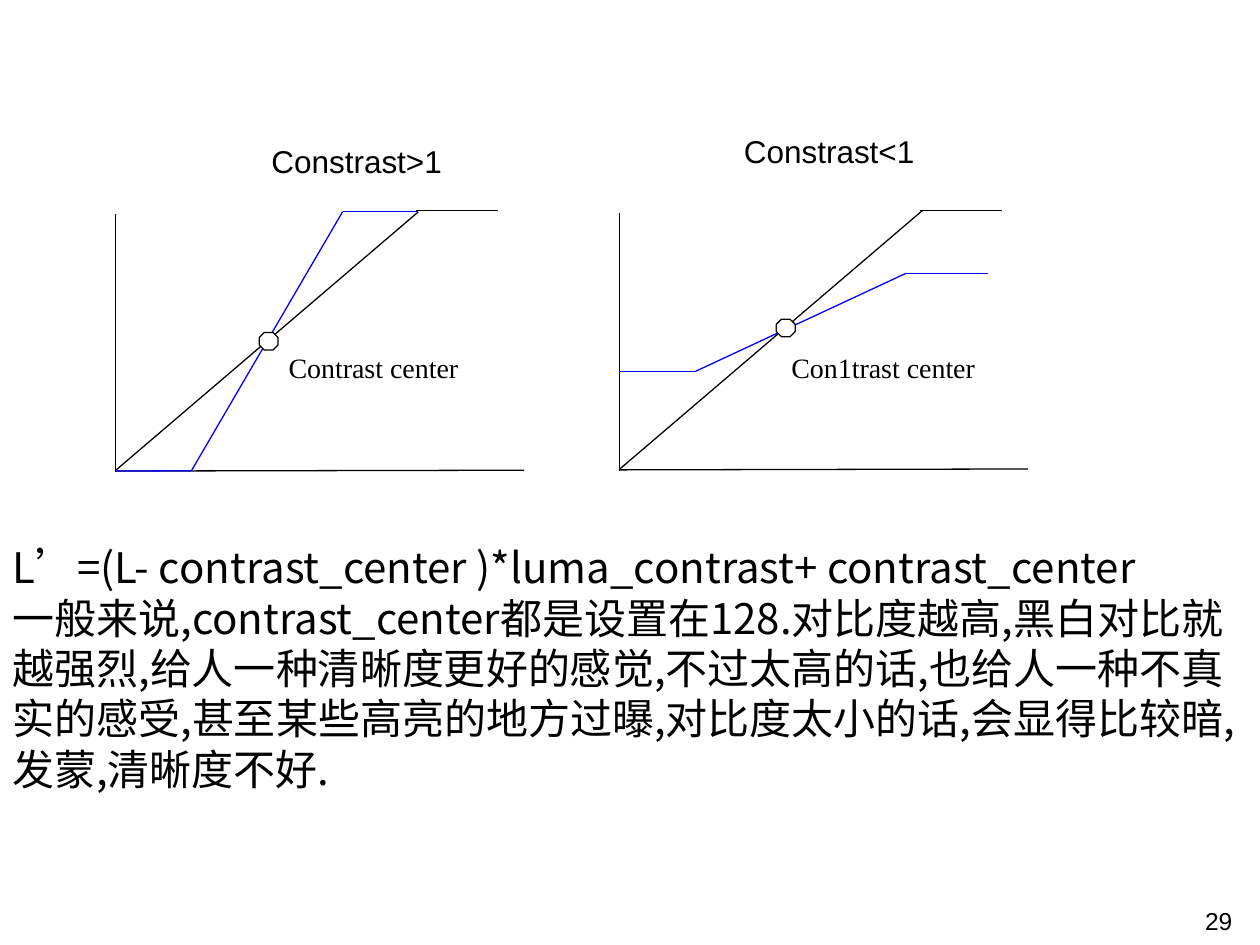
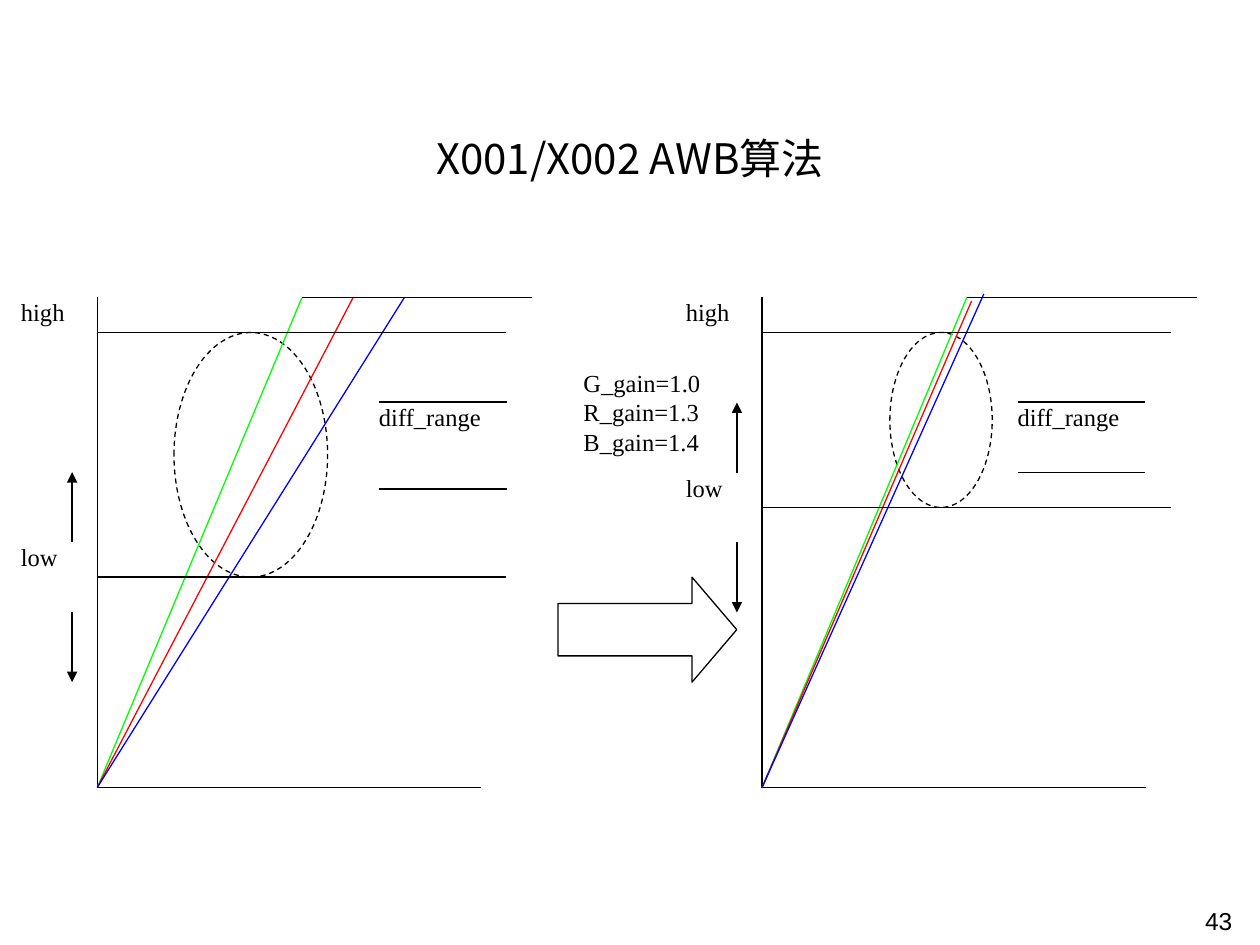
from itertools import pairwise

from lxml.etree import SubElement
from pptx import Presentation
from pptx.dml.color import RGBColor
from pptx.enum.dml import MSO_LINE
from pptx.enum.shapes import MSO_CONNECTOR, MSO_SHAPE
from pptx.enum.text import MSO_ANCHOR, PP_ALIGN
from pptx.oxml.ns import qn
from pptx.util import Pt

COLORS = {
    "ink": "000000",
    "paper": "FFFFFF",
    "red": "FF0000",
    "green": "00FF00",
    "blue": "0000FF",
}
SANS = "Arial"
SERIF = "Times New Roman"
CJK = "Noto Sans CJK SC"
LINE_WIDTH = 0.75
BOX_MARGINS = (7.2, 3.6)


def color(name):
    """Return the named colour as an RGBColor."""
    return RGBColor.from_string(COLORS[name])


def set_attributes(target, values):
    """Set each attribute of target from a dict."""
    for name, value in values.items():
        setattr(target, name, value)


def write_text(shape, lines, font, size, align, margins, space_before=0):
    """Fill a shape with one paragraph per line."""
    frame = shape.text_frame
    horizontal, vertical = (Pt(margin) for margin in margins)
    set_attributes(frame, {
        "word_wrap": True,
        "vertical_anchor": MSO_ANCHOR.TOP,
        "margin_left": horizontal,
        "margin_right": horizontal,
        "margin_top": vertical,
        "margin_bottom": vertical,
    })
    for index, line in enumerate(lines):
        paragraph = frame.add_paragraph() if index else frame.paragraphs[0]
        set_attributes(paragraph, {"alignment": align, "space_before": Pt(space_before)})
        run = paragraph.add_run()
        run.text = line
        set_attributes(run.font, {"name": font, "size": Pt(size)})
        run.font.color.rgb = color("ink")
        if font == CJK:
            SubElement(run.font._element, qn("a:ea"), typeface=font)


def add_text(slide, box, lines, font, size, align=PP_ALIGN.LEFT,
             margins=BOX_MARGINS, space_before=0):
    """Add a transparent text box."""
    shape = slide.shapes.add_textbox(*map(Pt, box))
    write_text(shape, lines, font, size, align, margins, space_before)


def add_figure(slide, kind, box, outlined=True, dashed=False, adjustments=()):
    """Add a white preset shape, with a thin black outline if wanted."""
    shape = slide.shapes.add_shape(kind, *map(Pt, box))
    shape.shadow.inherit = False
    shape.fill.solid()
    shape.fill.fore_color.rgb = color("paper")
    for index, value in enumerate(adjustments):
        shape.adjustments[index] = value
    if outlined:
        shape.line.color.rgb = color("ink")
        shape.line.width = Pt(LINE_WIDTH)
    else:
        shape.line.fill.background()
    if dashed:
        shape.line.dash_style = MSO_LINE.DASH
    return shape


def add_label(slide, box, *lines):
    """Add a white label without outline or margins."""
    shape = add_figure(slide, MSO_SHAPE.RECTANGLE, box, outlined=False)
    write_text(shape, lines, SERIF, 14, PP_ALIGN.JUSTIFY, (0, 0))


def add_line(slide, start, end, color_name="ink", arrow=False):
    """Add a thin straight line, with an arrowhead at its end if wanted."""
    connector = slide.shapes.add_connector(
        MSO_CONNECTOR.STRAIGHT, *map(Pt, (*start, *end)))
    connector.line.color.rgb = color(color_name)
    connector.line.width = Pt(LINE_WIDTH)
    if arrow:
        SubElement(connector.line._get_or_add_ln(), qn("a:tailEnd"), type="triangle")
    SubElement(connector._element.spPr, qn("a:effectLst"))


def add_page_number(slide, number):
    """Add the page number at the bottom right."""
    add_text(slide, (544.3, 514.1, 167, 25.9), [str(number)], SANS, 14, PP_ALIGN.RIGHT)


def add_contrast_graph(slide, left, base, curve, center, caption, title, title_corner):
    """Draw the identity line, the contrast curve and the contrast centre."""
    clip = 120.24
    add_line(slide, (left, base + 0.5), (left + 233.3, base))
    add_line(slide, (left, base), (left + 172.8, base - 147.6))
    add_line(slide, (left, base + 1), (left, base - 146.5))
    add_line(slide, (left + 171.4, clip), (left + 218.4, clip))
    for start, end in pairwise(curve):
        add_line(slide, start, end, "blue")
    center_x, center_y = center
    add_figure(slide, MSO_SHAPE.OCTAGON, (center_x - 5.4, center_y - 5, 10.8, 10),
               adjustments=[0.293])
    add_text(slide, (*caption[1], 134, 46), [caption[0]], SERIF, 16,
             PP_ALIGN.JUSTIFY, (2.9, 2.9))
    add_text(slide, (*title_corner, 180, 28.8), [title], SANS, 18,
             PP_ALIGN.CENTER, space_before=11.2)


def add_gain_graph(slide, axis, low, rays, clip_start, ellipse, range_offset, range_height):
    """Draw the channel rays with the high, low and diff_range limits."""
    base, top, high = 450, 170, 190
    ellipse_left, ellipse_width = ellipse
    add_figure(slide, MSO_SHAPE.OVAL, (axis + ellipse_left, high, ellipse_width, low - high),
               dashed=True)
    add_line(slide, (axis, base), (axis + 219.2, base))
    add_line(slide, (axis, base), (axis, top))
    for color_name, end_offset, end_y in rays:
        add_line(slide, (axis, base), (axis + end_offset, end_y), color_name)
    for limit in (high, low):
        add_line(slide, (axis, limit), (axis + 233.8, limit))
    add_line(slide, (axis + clip_start, top), (axis + 248.6, top))

    low_top = low - 20
    for text, label_top in (("high", top), ("low", low_top)):
        add_label(slide, (axis - 43.6, label_top, 29.2, 40), text)
    arrow_x = axis - 14.4
    add_line(slide, (arrow_x, low_top), (arrow_x, low_top - 40), arrow=True)
    add_line(slide, (arrow_x, low_top + 40), (arrow_x, low_top + 80), arrow=True)

    range_left, range_top = axis + range_offset, 229.7
    add_label(slide, (range_left, range_top, 58.4, 40), "diff_range")
    for y in (range_top, range_top + range_height):
        add_line(slide, (range_left, y), (range_left + 73, y))


def build_contrast_slide(slide):
    """Compare contrast above and below one."""
    add_page_number(slide, 29)
    add_contrast_graph(
        slide, 66.2, 268.7,
        [(66.2, 269.2), (109.4, 269), (195.8, 121), (239, 121)],
        (153.5, 195), ("Contrast center", (162, 197.3)), "Constrast>1", (113.8, 77.8))
    add_contrast_graph(
        slide, 354.2, 268,
        [(353.5, 212.2), (397.5, 212.2), (517.7, 156.2), (564.5, 156.2)],
        (449, 187.4), ("Con1trast center", (449.3, 197.3)), "Constrast<1", (383.8, 72))
    add_text(slide, (0, 306, 720, 180), [
        "L’=(L- contrast_center )*luma_contrast+ contrast_center",
        "一般来说,contrast_center都是设置在128.对比度越高,黑白对比就越强烈,"
        "给人一种清晰度更好的感觉,不过太高的话,也给人一种不真实的感受,"
        "甚至某些高亮的地方过曝,对比度太小的话,会显得比较暗,发蒙,清晰度不好.",
    ], CJK, 24)


def build_white_balance_slide(slide):
    """Show the channels before and after the white balance gains."""
    add_page_number(slide, 43)
    add_label(slide, (333.4, 210.2, 72.7, 139.7), "G_gain=1.0", "R_gain=1.3", "B_gain=1.4")
    add_gain_graph(
        slide, 55.6, 329.8,
        [("green", 117, 170), ("red", 146.2, 170), ("blue", 175.5, 170)],
        117, (43.8, 87.8), 161, 49.7)
    add_gain_graph(
        slide, 435.5, 290,
        [("green", 117, 170), ("red", 119.7, 172), ("blue", 126.7, 168)],
        117, (73, 58.5), 146, 40.3)
    add_figure(slide, MSO_SHAPE.RIGHT_ARROW, (318.8, 329.8, 102.2, 60),
               adjustments=[0.5, 0.426])
    add_text(slide, (0, 72, 720, 80), ["X001/X002 AWB算法"], CJK, 24,
             PP_ALIGN.CENTER, space_before=15)


def main():
    """Build and save the presentation."""
    presentation = Presentation()
    set_attributes(presentation, {"slide_width": Pt(720), "slide_height": Pt(540)})
    blank_layout = presentation.slide_layouts[6]
    for build in (build_contrast_slide, build_white_balance_slide):
        build(presentation.slides.add_slide(blank_layout))
    presentation.save("out.pptx")


if __name__ == "__main__":
    main()
